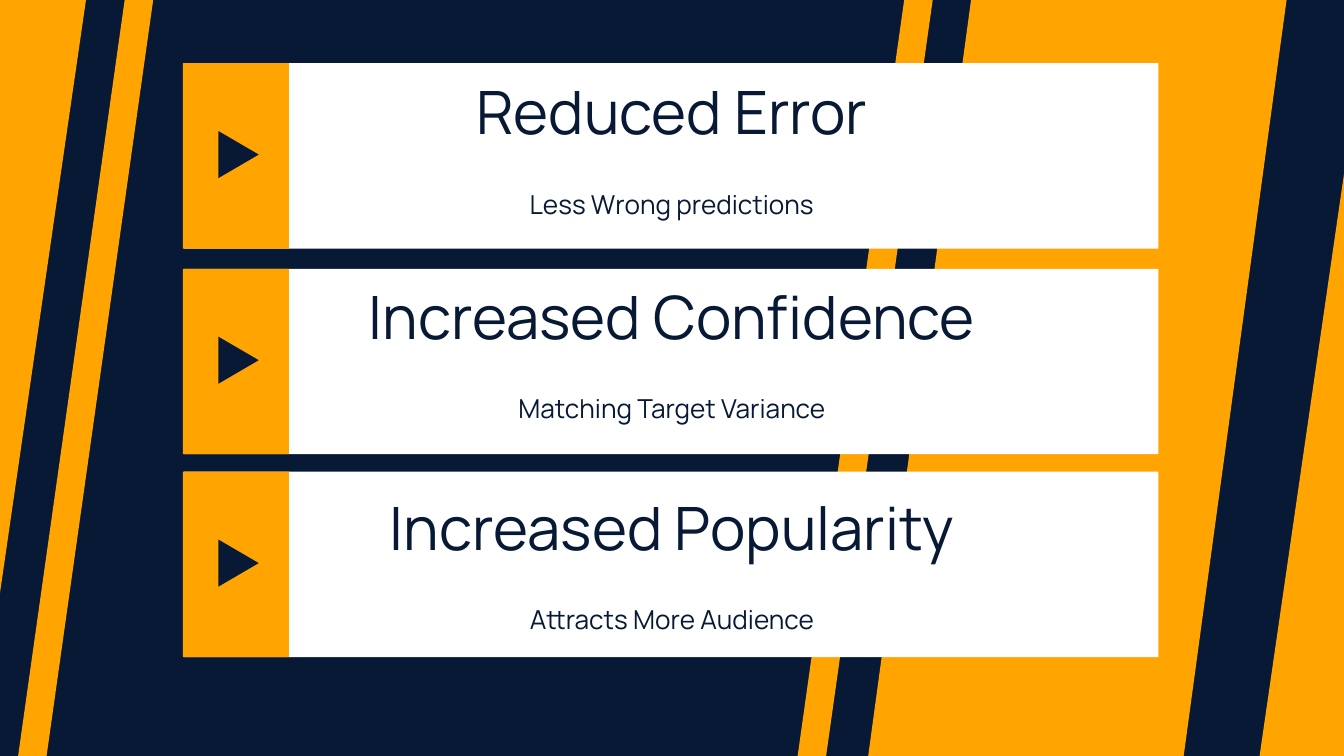
"""Build a slide with three benefit cards on a striped background."""
from pptx import Presentation
from pptx.dml.color import RGBColor
from pptx.enum.shapes import MSO_SHAPE
from pptx.enum.text import MSO_ANCHOR, MSO_AUTO_SIZE, PP_ALIGN
from pptx.util import Inches, Pt

RECTANGLE = MSO_SHAPE.RECTANGLE
PARALLELOGRAM = MSO_SHAPE.PARALLELOGRAM
TRIANGLE = MSO_SHAPE.ISOSCELES_TRIANGLE
CENTER = PP_ALIGN.CENTER
TOP = MSO_ANCHOR.TOP
NO_AUTOFIT = MSO_AUTO_SIZE.NONE

STRIPES = [
    (0.13, 0, 1.01, 5.66, 0.79),
    (5.93, 0, 1.01, 5.66, 0.79),
    (6.45, -0.05, 3.13, 5.75, 0.25),
]
CORNERS = [
    [(9.36, 5.71), (10.03, 1.09), (10.03, 5.71)],
    [(0.64, 0), (-0.03, 4.62), (-0.03, 0)],
]
CARDS = [
    (0.47, 0.46, "Reduced Error", "Less Wrong predictions"),
    (2, 1.98, "Increased Confidence", "Matching Target Variance"),
    (3.51, 3.55, "Increased Popularity", "Attracts More Audience"),
]


def color(value):
    return RGBColor.from_string(value)


def write_text(shape, text, size, font, font_color, alignment=CENTER, anchor=TOP):
    frame = shape.text_frame
    frame.word_wrap = True
    frame.auto_size = NO_AUTOFIT
    frame.vertical_anchor = anchor
    frame.margin_left = frame.margin_right = Inches(0.1)
    frame.margin_top = frame.margin_bottom = Inches(0.1)
    paragraph = frame.paragraphs[0]
    paragraph.alignment = alignment
    run = paragraph.add_run()
    run.text = text
    run.font.size = Pt(size)
    run.font.name = font
    run.font.color.rgb = color(font_color)


class SlideBuilder:
    font = "Manrope"
    navy = "081935"
    orange = "FFA400"
    white = "FFFFFF"

    def __init__(self, slide):
        self.slide = slide
        slide.background.fill.solid()
        slide.background.fill.fore_color.rgb = color(self.navy)

    def paint(self, shape, fill):
        shape.shadow.inherit = False
        shape.fill.solid()
        shape.fill.fore_color.rgb = color(fill)
        shape.line.fill.background()

    def shape(self, kind, left, top, width, height, fill, rotation=0):
        shape = self.slide.shapes.add_shape(
            kind, Inches(left), Inches(top), Inches(width), Inches(height))
        shape.rotation = rotation
        self.paint(shape, fill)
        return shape

    def stripe(self, left, top, width, height, slant):
        stripe = self.shape(PARALLELOGRAM, left, top, width, height, self.orange)
        stripe.adjustments[0] = slant

    def corner(self, points):
        start, *others = [(Inches(x), Inches(y)) for x, y in points]
        builder = self.slide.shapes.build_freeform(*start)
        builder.add_line_segments(others, close=True)
        self.paint(builder.convert_to_shape(), self.orange)

    def text(self, text, left, top, width, height, size):
        box = self.slide.shapes.add_textbox(
            Inches(left), Inches(top), Inches(width), Inches(height))
        write_text(box, text, size=size, font=self.font, font_color=self.navy)

    def title(self, text, left, top, width, height, size):
        title = self.slide.shapes.title
        title.left, title.top = Inches(left), Inches(top)
        title.width, title.height = Inches(width), Inches(height)
        self.slide.shapes._spTree.append(title._element)
        write_text(title, text, size=size, font=self.font, font_color=self.navy)

    def card(self, top):
        self.shape(RECTANGLE, 1.37, top, 7.25, 1.38, self.white)
        self.shape(RECTANGLE, 1.36, top, 0.79, 1.38, self.orange)
        self.shape(TRIANGLE, 1.6, top + 0.53, 0.35, 0.3, self.navy, rotation=90)


def main():
    presentation = Presentation()
    presentation.slide_width = Inches(10)
    presentation.slide_height = Inches(10) * 9 // 16
    slide = presentation.slides.add_slide(presentation.slide_layouts[5])
    builder = SlideBuilder(slide)
    for stripe in STRIPES:
        builder.stripe(*stripe)
    for points in CORNERS:
        builder.corner(points)
    for index, (card_top, heading_top, heading, detail) in enumerate(CARDS):
        builder.card(card_top)
        add_heading = builder.text if index else builder.title
        add_heading(heading, 1.93, heading_top, 6.14, 0.94, size=32)
        builder.text(detail, 2.76, heading_top + 0.84, 4.48, 0.42, size=14)
    presentation.save("out.pptx")


if __name__ == "__main__":
    main()
